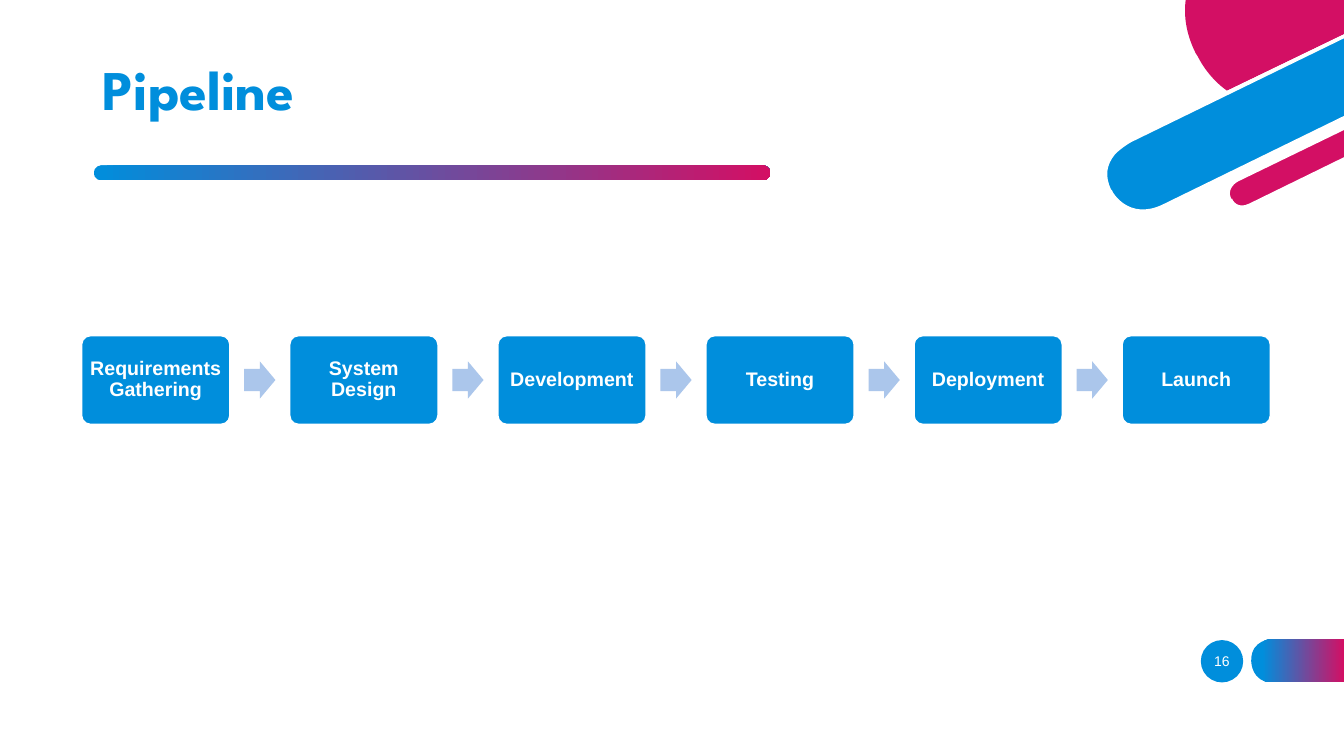
from pptx import Presentation
from pptx.dml.color import RGBColor
from pptx.enum.shapes import MSO_SHAPE
from pptx.enum.text import MSO_ANCHOR, PP_ALIGN
from pptx.oxml.ns import qn
from pptx.util import Pt

PX = 9144  # EMU per px, 100 px to the inch
SLIDE_W, SLIDE_H = 1333, 750

BLUE = RGBColor(0x00, 0x8E, 0xDC)
PINK = RGBColor(0xD3, 0x0F, 0x64)
PALE_BLUE = RGBColor(0xAB, 0xC6, 0xEB)
WHITE = RGBColor(0xFF, 0xFF, 0xFF)

STAGES = ["Requirements Gathering", "System Design", "Development",
          "Testing", "Deployment", "Launch"]

# Outlines in the corner box: a pair is a line, six numbers are a Bezier curve
CORNER_ART = [
    # Rim of the disc
    (WHITE, [(239, 81), (212, 94), (180, 110, 150, 108, 125, 89),
             (105, 74, 95, 55, 95, 55), (94, 52), (85, 34, 81, 16, 84, 0),
             (80, 0), (77, 17, 81, 35, 90, 54), (92, 57),
             (92, 58, 102, 77, 122, 92), (134, 101, 150, 109, 171, 109),
             (183, 109, 197, 106, 214, 98), (239, 86)]),
    # Wide band
    (BLUE, [(27, 139), (27, 139, -9, 157, 7, 189), (7, 190),
            (7, 190, 23, 222, 60, 204), (239, 117), (239, 36)]),
    # Disc
    (PINK, [(94, 56), (94, 56, 103, 76, 123, 90), (239, 34), (239, 0),
            (82, 0), (80, 15, 82, 33, 92, 53)]),
    # Narrow band
    (PINK, [(239, 126), (133, 178), (133, 178, 119, 185, 126, 197), (126, 198),
            (126, 198, 132, 211, 146, 204), (239, 158)]),
    # Rim of the narrow band
    (WHITE, [(145, 202), (133, 208, 128, 198, 128, 197), (127, 197),
             (122, 186, 134, 180, 134, 180), (239, 129), (239, 124), (132, 176),
             (132, 176, 125, 180, 123, 187), (121, 191, 122, 195, 124, 199),
             (126, 203, 131, 208, 138, 208), (141, 208, 144, 208, 147, 206),
             (239, 161), (239, 156)]),
    # Rim of the wide band
    (WHITE, [(59, 203), (25, 219, 9, 190, 9, 189), (8, 188),
             (2, 175, 3, 164, 12, 153), (19, 146, 28, 141, 28, 141), (239, 38),
             (239, 34), (26, 137), (25, 138, 8, 146, 2, 163),
             (-1, 171, 0, 180, 5, 190), (5, 191), (5, 191, 16, 212, 39, 212),
             (45, 212, 52, 210, 60, 206), (239, 119), (239, 115)]),
]


def paint(shape, color):
    shape.shadow.inherit = False
    shape.fill.solid()
    shape.fill.fore_color.rgb = color
    shape.line.fill.background()


def paint_gradient(shape, start):
    paint(shape, BLUE)
    shape.fill.gradient()
    shape.fill.gradient_angle = 0
    for stop, color, position in zip(shape.fill.gradient_stops, (BLUE, PINK), (start, 1)):
        stop.color.rgb = color
        stop.position = position


def add_preset(slide, kind, left, top, width, height, color):
    shape = slide.shapes.add_shape(
        kind, *(round(n * PX) for n in (left, top, width, height)))
    paint(shape, color)
    return shape


def add_outline(slide, left, top, segments):
    points = [((left + segment[i]) * PX, (top + segment[i + 1]) * PX)
              for segment in segments for i in range(0, len(segment), 2)]
    builder = slide.shapes.build_freeform(*points[0])
    builder.add_line_segments(points[1:], close=True)
    shape = builder.convert_to_shape()
    # Join the three points of each curve into one Bezier element
    lines = iter(shape._element.xpath(".//a:lnTo"))
    for segment in segments[1:]:
        line = next(lines)
        if len(segment) == 6:
            curve = line.makeelement(qn("a:cubicBezTo"))
            line.addprevious(curve)
            for part in (line, next(lines), next(lines)):
                curve.append(part[0])
                part.getparent().remove(part)
    return shape


def write(shape, text, font, size, color, bold, align, spacing=1.0):
    frame = shape.text_frame
    frame.word_wrap = True
    frame.vertical_anchor = MSO_ANCHOR.MIDDLE
    paragraph = frame.paragraphs[0]
    paragraph.alignment = align
    paragraph.line_spacing = spacing
    run = paragraph.add_run()
    run.text = text
    run.font.name = font
    run.font.size = Pt(size)
    run.font.bold = bold
    run.font.color.rgb = color


def add_corner(slide, left, top):
    for color, segments in CORNER_ART:
        paint(add_outline(slide, left, top, segments), color)


def add_heading(slide, left, top, width, height):
    title = slide.shapes.add_textbox(left * PX, top * PX, width * PX, height * PX)
    write(title, "Pipeline", "League Spartan", 40, BLUE, True, PP_ALIGN.LEFT, 0.9)
    # Underline bar
    bar = add_preset(slide, MSO_SHAPE.ROUNDED_RECTANGLE,
                     left + 1, top + 124, 671, 15, BLUE)
    bar.adjustments[0] = 0.5
    paint_gradient(bar, 0)


def add_page_number(slide, left, top, number):
    add_preset(slide, MSO_SHAPE.OVAL, left, top, 42, 42, BLUE)
    label = slide.shapes.add_textbox((left - 9) * PX, (top + 1) * PX, 60 * PX, 40 * PX)
    write(label, number, "Arial", 10, WHITE, False, PP_ALIGN.CENTER)
    # Tab running to the slide edge
    edge = SLIDE_W - left
    tab = add_outline(slide, left, top, [
        (71, 42), (edge, 42), (edge, -1), (71, -1),
        (71, -1, 50, -1, 50, 20), (50, 21), (50, 21, 50, 42, 71, 42)])
    paint_gradient(tab, 0.12)


def add_pipeline(slide, left, top, width, height):
    card_w, arrow_w, arrow_h = 147, 31, 37
    pitch = (width - card_w) / (len(STAGES) - 1)
    for index, stage in enumerate(STAGES):
        x = left + index * pitch
        card = add_preset(slide, MSO_SHAPE.ROUNDED_RECTANGLE,
                          x, top, card_w, height, BLUE)
        card.adjustments[0] = 0.1
        card.line.color.rgb = WHITE
        card.line.width = Pt(1)
        frame = card.text_frame
        frame.margin_left = frame.margin_right = 4 * PX
        frame.margin_top = frame.margin_bottom = 6 * PX
        write(card, stage, "Arial", 14, WHITE, True, PP_ALIGN.CENTER, 0.9)
        # Arrow centred in the gap to the next card
        if index < len(STAGES) - 1:
            arrow = add_preset(slide, MSO_SHAPE.RIGHT_ARROW,
                               x + (card_w + pitch - arrow_w) / 2,
                               top + (height - arrow_h) / 2, arrow_w, arrow_h, PALE_BLUE)
            arrow.adjustments[0] = 0.6
            arrow.adjustments[1] = 0.5


def main():
    deck = Presentation()
    deck.slide_width = SLIDE_W * PX
    deck.slide_height = SLIDE_H * PX
    slide = deck.slides.add_slide(deck.slide_layouts[6])
    add_corner(slide, 1094, 0)
    add_heading(slide, 92, 40, 990, 103)
    add_pipeline(slide, 81, 333, 1179, 88)
    add_page_number(slide, 1191, 635, "16")
    deck.save("out.pptx")


if __name__ == "__main__":
    main()
